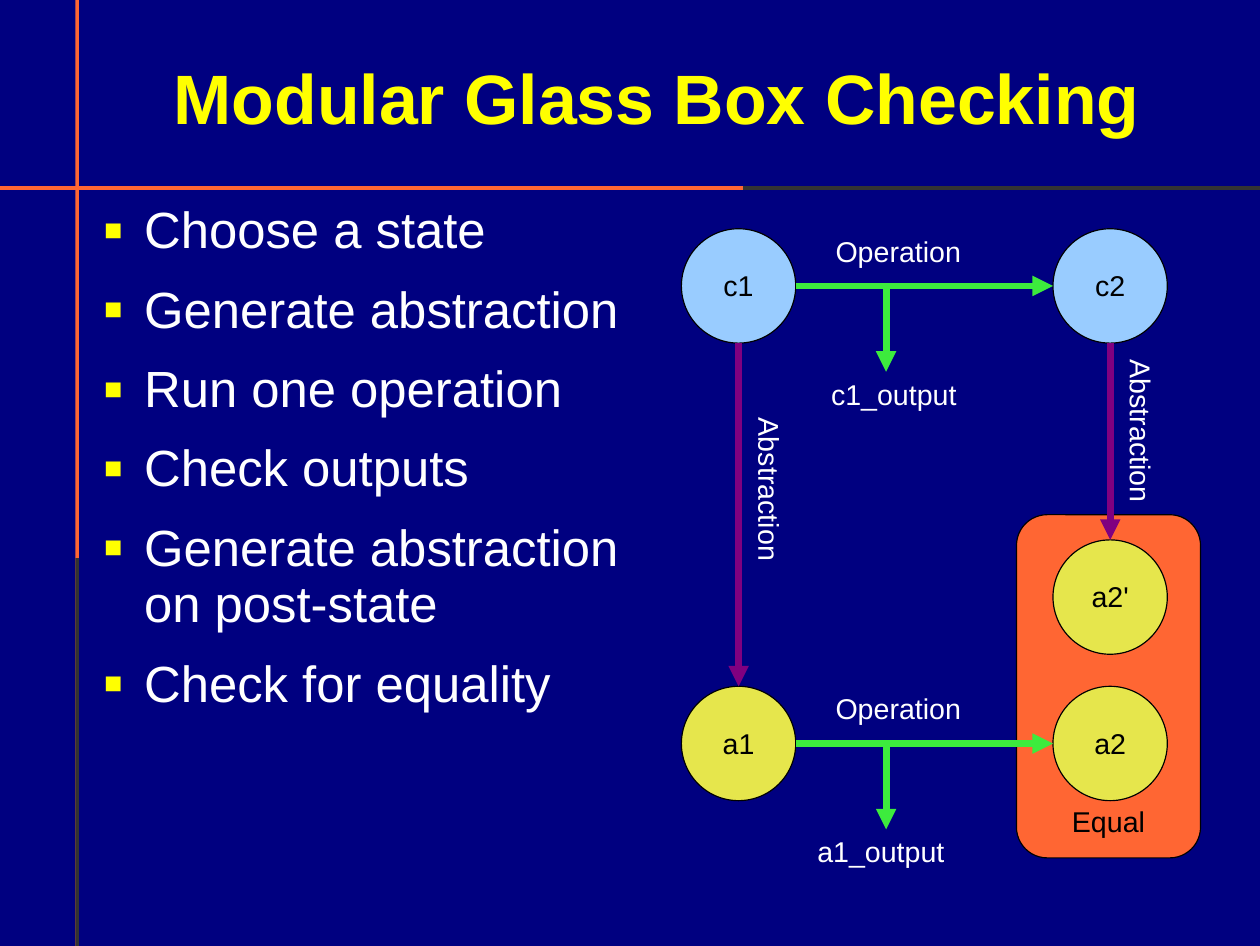
from dataclasses import dataclass

from lxml import etree
from pptx import Presentation
from pptx.dml.color import RGBColor
from pptx.enum.shapes import MSO_CONNECTOR, MSO_SHAPE
from pptx.enum.text import MSO_ANCHOR, MSO_AUTO_SIZE, PP_ALIGN
from pptx.oxml.ns import qn
from pptx.util import Inches, Pt


@dataclass(frozen=True)
class Theme:
    font: str = "Arial"
    background: str = "000080"
    title: str = "FFFF00"
    text: str = "FFFFFF"
    dark: str = "000000"
    accent: str = "FF6633"
    rule_end: str = "333333"
    concrete: str = "99CCFF"
    abstract: str = "E6E64C"
    operation: str = "3DEB3D"
    abstraction: str = "800080"
    title_size: int = 44
    body_size: int = 32
    label_size: int = 18
    outline: float = 0.75
    arrow: float = 4.31


THEME = Theme()
WIDTH, HEIGHT = 11.02, 8.27
RULE = 0.03
DIAMETER = 1
LEFT, RIGHT = 5.96, 9.21  # columns of states
TOP, BOTTOM, POST = 2, 6, 4.72  # rows of states
OUTPUT_X, OUTPUT_DROP = 7.75, 0.75
STEPS = ["Choose a state", "Generate abstraction", "Run one operation",
         "Check outputs", "Generate abstraction on post-state",
         "Check for equality"]


def rgb(color):
    return RGBColor.from_string(color)


def inches(*values):
    return [Inches(value) for value in values]


def add_bullet(paragraph):
    properties = paragraph._p.get_or_add_pPr()
    properties.set("marL", str(Inches(0.47)))
    properties.set("indent", str(Inches(-0.35)))
    color = etree.SubElement(properties, qn("a:buClr"))
    etree.SubElement(color, qn("a:srgbClr"), val=THEME.title)
    etree.SubElement(properties, qn("a:buSzPct"), val="60000")
    etree.SubElement(properties, qn("a:buFont"), typeface=THEME.font)
    etree.SubElement(properties, qn("a:buChar"), char="■")


def write_text(shape, text, size=THEME.label_size, color=THEME.text, bold=False,
               align=PP_ALIGN.LEFT, anchor=MSO_ANCHOR.TOP, wrap=True,
               insets=(0.1, 0.07, 0.1, 0.05), bullets=False, space_after=0):
    """Write one paragraph for each line of text."""
    frame = shape.text_frame
    frame.text = text
    frame.auto_size = MSO_AUTO_SIZE.NONE
    frame.word_wrap = wrap
    frame.vertical_anchor = anchor
    (frame.margin_left, frame.margin_top,
     frame.margin_right, frame.margin_bottom) = inches(*insets)
    for paragraph in frame.paragraphs:
        if bullets:
            add_bullet(paragraph)
        paragraph.alignment = align
        paragraph.line_spacing = 0.93
        paragraph.space_before = Pt(0)
        paragraph.space_after = Pt(space_after)
        font = paragraph.font
        font.name, font.size, font.bold = THEME.font, Pt(size), bold
        font.color.rgb = rgb(color)


def place(shape, *box):
    shape.left, shape.top, shape.width, shape.height = inches(*box)


def add_rule(slide, box, angle):
    """Draw a thin bar that changes colour at 59% of its length."""
    shape = slide.shapes.add_shape(MSO_SHAPE.RECTANGLE, *inches(*box))
    shape.shadow.inherit = False
    shape.line.fill.background()
    shape.fill.gradient()
    shape.fill.gradient_angle = angle
    for stop, color in zip(shape.fill.gradient_stops,
                           (THEME.accent, THEME.rule_end)):
        stop.position = 0.59
        stop.color.rgb = rgb(color)


def add_node(slide, kind, box, text, fill, **text_format):
    shape = slide.shapes.add_shape(kind, *inches(*box))
    shape.shadow.inherit = False
    shape.fill.solid()
    shape.fill.fore_color.rgb = rgb(fill)
    shape.line.color.rgb = rgb(THEME.dark)
    shape.line.width = Pt(THEME.outline)
    write_text(shape, text, color=THEME.dark, align=PP_ALIGN.CENTER,
               wrap=False, **text_format)
    return shape


def add_state(slide, text, left, top, fill):
    add_node(slide, MSO_SHAPE.OVAL, (left, top, DIAMETER, DIAMETER), text, fill,
             anchor=MSO_ANCHOR.MIDDLE)


def add_arrow(slide, start, end, color):
    connector = slide.shapes.add_connector(MSO_CONNECTOR.STRAIGHT,
                                           *inches(*start, *end))
    connector.line.color.rgb = rgb(color)
    connector.line.width = Pt(THEME.arrow)
    etree.SubElement(connector.line._get_or_add_ln(), qn("a:tailEnd"),
                     type="triangle")
    etree.SubElement(connector._element.spPr, qn("a:effectLst"))


def add_label(slide, text, left, top, width=1.5, height=0.38, rotation=0):
    box = slide.shapes.add_textbox(*inches(left, top, width, height))
    box.rotation = rotation
    write_text(box, text)


def add_operation(slide, top, output, output_left):
    """Draw an operation between the columns, with its output below."""
    middle = top + DIAMETER / 2
    output_top = middle + OUTPUT_DROP
    add_arrow(slide, (LEFT + DIAMETER, middle), (RIGHT, middle), THEME.operation)
    add_arrow(slide, (OUTPUT_X, middle), (OUTPUT_X, output_top), THEME.operation)
    add_label(slide, "Operation", 7.21, top)
    add_label(slide, output, output_left, output_top)


def add_abstraction(slide, left, end_top, label_box):
    center = left + DIAMETER / 2
    add_arrow(slide, (center, TOP + DIAMETER), (center, end_top),
              THEME.abstraction)
    add_label(slide, "Abstraction", *label_box, rotation=90)


def main():
    presentation = Presentation()
    presentation.slide_width, presentation.slide_height = inches(WIDTH, HEIGHT)
    slide = presentation.slides.add_slide(presentation.slide_layouts[1])
    slide.background.fill.solid()
    slide.background.fill.fore_color.rgb = rgb(THEME.background)

    # Crossing rules
    add_rule(slide, (0, 1.63, WIDTH, RULE), 0)
    add_rule(slide, (0.66, 0, RULE, HEIGHT), 270)

    # Title and list
    title, body = slide.placeholders
    place(title, 0.79, 0.17, 9.92, 1.38)
    write_text(title, "Modular Glass Box Checking", size=THEME.title_size,
               color=THEME.title, bold=True, align=PP_ALIGN.CENTER,
               anchor=MSO_ANCHOR.MIDDLE, insets=(0, 0.04, 0, 0))
    place(body, 0.79, 1.75, 4.84, 6.25)
    write_text(body, "\n".join(STEPS), size=THEME.body_size,
               insets=(0, 0.03, 0, 0), bullets=True, space_after=14.2)

    # States, with the pair that must be equal
    panel = add_node(slide, MSO_SHAPE.ROUNDED_RECTANGLE, (8.89, 4.5, 1.61, 3),
                     "Equal", THEME.accent, anchor=MSO_ANCHOR.BOTTOM,
                     insets=(0.1, 0.07, 0.1, 0.09))
    panel.adjustments[0] = 0.167
    for text, left, top, fill in (("c1", LEFT, TOP, THEME.concrete),
                                  ("c2", RIGHT, TOP, THEME.concrete),
                                  ("a1", LEFT, BOTTOM, THEME.abstract),
                                  ("a2", RIGHT, BOTTOM, THEME.abstract),
                                  ("a2'", RIGHT, POST, THEME.abstract)):
        add_state(slide, text, left, top, fill)

    # Transitions
    add_operation(slide, TOP, "c1_output", 7.17)
    add_operation(slide, BOTTOM, "a1_output", 7.05)
    add_abstraction(slide, LEFT, BOTTOM, (5.94, 4.07, 1.5, 0.47))
    add_abstraction(slide, RIGHT, POST, (9.2, 3.58, 1.51, 0.44))

    presentation.save("out.pptx")


if __name__ == "__main__":
    main()
